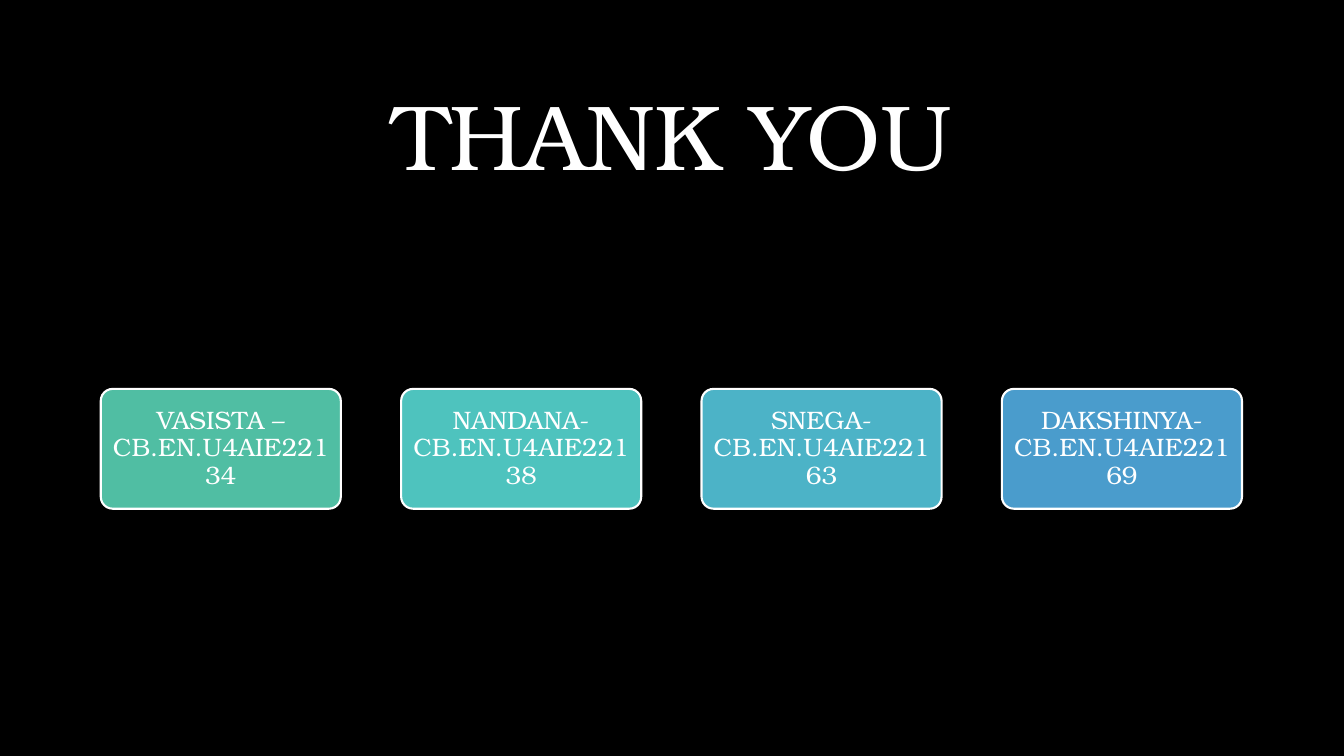
"""Builds the closing thank-you slide with four member cards."""
from lxml import etree
from pptx import Presentation
from pptx.dml.color import RGBColor
from pptx.enum.shapes import MSO_SHAPE
from pptx.enum.text import MSO_ANCHOR, MSO_AUTO_SIZE, PP_ALIGN
from pptx.oxml.ns import qn
from pptx.util import Cm, Pt

RECT = MSO_SHAPE.RECTANGLE
ROUND = MSO_SHAPE.ROUNDED_RECTANGLE
TOP = MSO_ANCHOR.TOP
MIDDLE = MSO_ANCHOR.MIDDLE
GROW = MSO_AUTO_SIZE.SHAPE_TO_FIT_TEXT
CENTER = PP_ALIGN.CENTER

FONT = "TeX Gyre Bonum"
HUES = {
    "black": "000000",
    "white": "FFFFFF",
    "green": "50BEA3",
    "teal": "4EC3BE",
    "cyan": "4CB3C7",
    "blue": "4A9CCC",
}
CARDS = [
    ("VASISTA –CB.EN.U4AIE22134", "green"),
    ("NANDANA-CB.EN.U4AIE22138", "teal"),
    ("SNEGA-CB.EN.U4AIE22163", "cyan"),
    ("DAKSHINYA-CB.EN.U4AIE22169", "blue"),
]
LEFT, PITCH = 2.54, 7.57


def hue(name):
    """Return the named colour."""
    return RGBColor.from_string(HUES[name])


class Deck:
    """Holds the style and the current slide."""

    def __init__(self, show):
        """Add a title slide on a black ground."""
        self.font = FONT
        self.slide = show.slides.add_slide(show.slide_layouts[5])
        fill = self.slide.background.fill
        fill.solid()
        fill.fore_color.rgb = hue("black")

    def label(self, frame, text, size):
        """Put one centred white paragraph in a frame."""
        frame.word_wrap = True
        para = frame.paragraphs[0]
        para.text = text
        para.alignment = CENTER
        para.font.name = self.font
        para.font.size = Pt(size)
        para.font.color.rgb = hue("white")
        return para

    def shape(self, kind, box, tone):
        """Add a flat filled shape."""
        item = self.slide.shapes.add_shape(kind, *map(Cm, box))
        item.shadow.inherit = False
        item.fill.solid()
        item.fill.fore_color.rgb = hue(tone)
        return item

    def title(self, text, box):
        """Place and fill the title."""
        item = self.slide.shapes.title
        item.left, item.top, item.width, item.height = map(Cm, box)
        frame = item.text_frame
        self.label(frame, text, 66)
        frame.vertical_anchor = TOP
        frame.auto_size = GROW

    def veil(self, box):
        """Add a half-clear black band."""
        item = self.shape(RECT, box, "black")
        item.line.fill.background()
        tone = item.element.find(".//" + qn("a:srgbClr"))
        etree.SubElement(tone, qn("a:alpha")).set("val", "50000")

    def card(self, text, box, tone):
        """Add a rounded card with its text."""
        item = self.shape(ROUND, box, tone)
        item.adjustments[0] = 0.1
        item.line.color.rgb = hue("white")
        item.line.width = Pt(1.5)
        frame = item.text_frame
        frame.margin_left = frame.margin_right = Cm(0.1)
        frame.margin_top = frame.margin_bottom = Cm(0.08)
        frame.vertical_anchor = MIDDLE
        self.label(frame, text, 18).line_spacing = 0.9


def main():
    """Build and save the slide."""
    show = Presentation()
    show.slide_width, show.slide_height = Cm(33.87), Cm(19.05)
    deck = Deck(show)
    deck.veil((0, 5.82, 33.87, 13.23))
    for i, (text, tone) in enumerate(CARDS):
        deck.card(text, (LEFT + i * PITCH, 9.8, 6.05, 3.02), tone)
    deck.title("THANK YOU", (4.83, 1.85, 24.23, 3.07))
    show.save("out.pptx")


if __name__ == "__main__":
    main()
